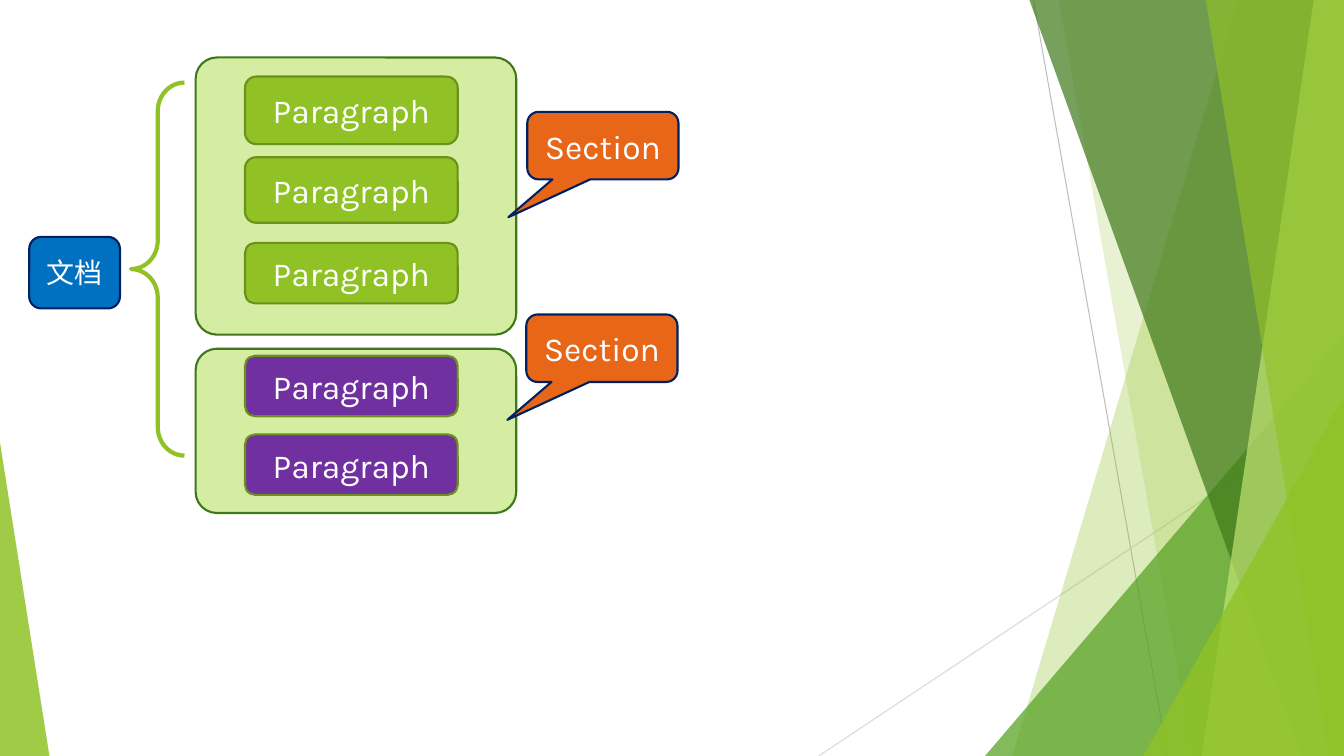
from lxml.etree import SubElement
from pptx import Presentation
from pptx.dml.color import RGBColor
from pptx.enum.shapes import MSO_CONNECTOR, MSO_SHAPE
from pptx.enum.text import MSO_ANCHOR, PP_ALIGN
from pptx.oxml.ns import qn
from pptx.util import Inches, Pt

# The grid has square cells, ten to the inch.
COLUMNS, ROWS = 133.3, 75
GREEN, DARK_GREEN, PALE_GREEN = "90C226", "3F7819", "D5EDA2"
NAVY, WHITE = "002060", "FFFFFF"


def cells(count):
    """Turn a number of grid cells into a length."""
    return Inches(count / 10)


def colour(value):
    return RGBColor.from_string(value)


class DiagramSlide:
    """Holds the text style and the slide, and adds elements by grid cell."""

    def __init__(self, presentation, font_format):
        self.slide = presentation.slides.add_slide(presentation.slide_layouts[6])
        self.shapes = self.slide.shapes
        self.font_format = font_format

    def paint(self, shape, fill=None, opacity=100, line=None, line_width=1.5):
        shape.shadow.inherit = False
        if fill:
            shape.fill.solid()
            shape.fill.fore_color.rgb = colour(fill)
        else:
            shape.fill.background()
        if opacity < 100:
            fill_colour = shape._element.spPr.find(qn("a:solidFill"))[0]
            SubElement(fill_colour, qn("a:alpha"), val=str(opacity * 1000))
        if line:
            shape.line.color.rgb = colour(line)
            shape.line.width = Pt(line_width)
        else:
            shape.line.fill.background()

    def thin_line(self, start, end, line_colour):
        ends = [cells(count) for count in (*start, *end)]
        connector = self.shapes.add_connector(MSO_CONNECTOR.STRAIGHT, *ends)
        connector.line.color.rgb = colour(line_colour)
        connector.line.width = Pt(0.75)
        SubElement(connector._element.spPr, qn("a:effectLst"))

    def facet(self, top_left, bottom_left, fill, opacity):
        """Fill from a slanted left edge to the right side of the slide."""
        corners = [(top_left, 0), (COLUMNS, 0), (COLUMNS, ROWS), (bottom_left, ROWS)]
        points = [(cells(column), cells(row)) for column, row in corners]
        builder = self.shapes.build_freeform(*points[0])
        builder.add_line_segments(points[1:], close=True)
        self.paint(builder.convert_to_shape(), fill, opacity)

    def shape(self, kind, box, adjustments=(), text="", size=24, **style):
        shape = self.shapes.add_shape(kind, *[cells(count) for count in box])
        for index, value in enumerate(adjustments):
            shape.adjustments[index] = value
        self.paint(shape, **style)
        if text:
            self.label(shape.text_frame, text, size)

    def corner_triangle(self, left, top, width, tip, fill, opacity):
        """Stand a right triangle on the bottom edge of the slide."""
        self.shape(MSO_SHAPE.ISOSCELES_TRIANGLE, (left, top, width, ROWS - top),
                   [tip], fill=fill, opacity=opacity)

    def block(self, box, fill, line, **options):
        self.shape(MSO_SHAPE.ROUNDED_RECTANGLE, box, fill=fill, line=line, **options)

    def callout(self, left, top, text):
        self.shape(MSO_SHAPE.ROUNDED_RECTANGULAR_CALLOUT, (left, top, 15, 6.7),
                   [-0.625, 1.06, 0.167], text, fill="E76618", line=NAVY)

    def label(self, frame, text, size):
        frame.word_wrap = True
        frame.vertical_anchor = MSO_ANCHOR.MIDDLE
        paragraph = frame.paragraphs[0]
        paragraph.alignment = PP_ALIGN.CENTER
        run = paragraph.add_run()
        run.text = text
        for name, value in {**self.font_format, "size": Pt(size)}.items():
            setattr(run.font, name, value)
        run.font.color.rgb = colour(WHITE)


def draw_backdrop(diagram):
    diagram.thin_line((102.5, 0), (115.8, ROWS), "BFBFBF")
    diagram.thin_line((COLUMNS, 40.3), (81.2, ROWS), "D9D9D9")
    diagram.facet(122.8, 100.4, GREEN, 30)
    diagram.facet(105, 118.3, GREEN, 20)
    diagram.corner_triangle(97.7, 33.3, 35.6, 1, "54A021", 72)
    for facet in [(102.1, 129.1, DARK_GREEN, 70),
                  (130.3, 119.2, "C0E474", 70),
                  (119.6, 131.8, GREEN, 65)]:
        diagram.facet(*facet)
    diagram.corner_triangle(113.4, 39.3, 19.9, 1, GREEN, 80)
    diagram.corner_triangle(0, 43.9, 4.9, 0, GREEN, 85)


def draw_document(diagram):
    diagram.shape(MSO_SHAPE.LEFT_BRACE, (13, 8.2, 5.3, 37), [0.534, 0.5],
                  line=GREEN, line_width=3)
    diagram.block((2.9, 23.5, 9, 7.1), "0070C0", NAVY, text="文档", size=20)
    # Each section: top, height, corner, paragraph fill, paragraph tops and heights
    sections = [
        (5.7, 27.5, 0.077, GREEN, [(7.6, 6.7), (15.6, 6.5), (24.1, 6)]),
        (34.6, 16.3, 0.129, "7030A0", [(35.3, 6), (43.1, 6)]),
    ]
    for top, height, corner, fill, paragraphs in sections:
        diagram.block((19.4, top, 31.8, height), PALE_GREEN, DARK_GREEN,
                      adjustments=[corner])
        for paragraph_top, paragraph_height in paragraphs:
            diagram.block((24.3, paragraph_top, 21.1, paragraph_height), fill,
                          "6B901C", text="Paragraph")
    for left, top in [(52.3, 11.1), (52.2, 31.2)]:
        diagram.callout(left, top, "Section")


def main():
    presentation = Presentation()
    presentation.slide_width = cells(COLUMNS)
    presentation.slide_height = cells(ROWS)
    diagram = DiagramSlide(presentation, {"name": "Karla", "bold": False})
    draw_backdrop(diagram)
    draw_document(diagram)
    presentation.save("out.pptx")


if __name__ == "__main__":
    main()
